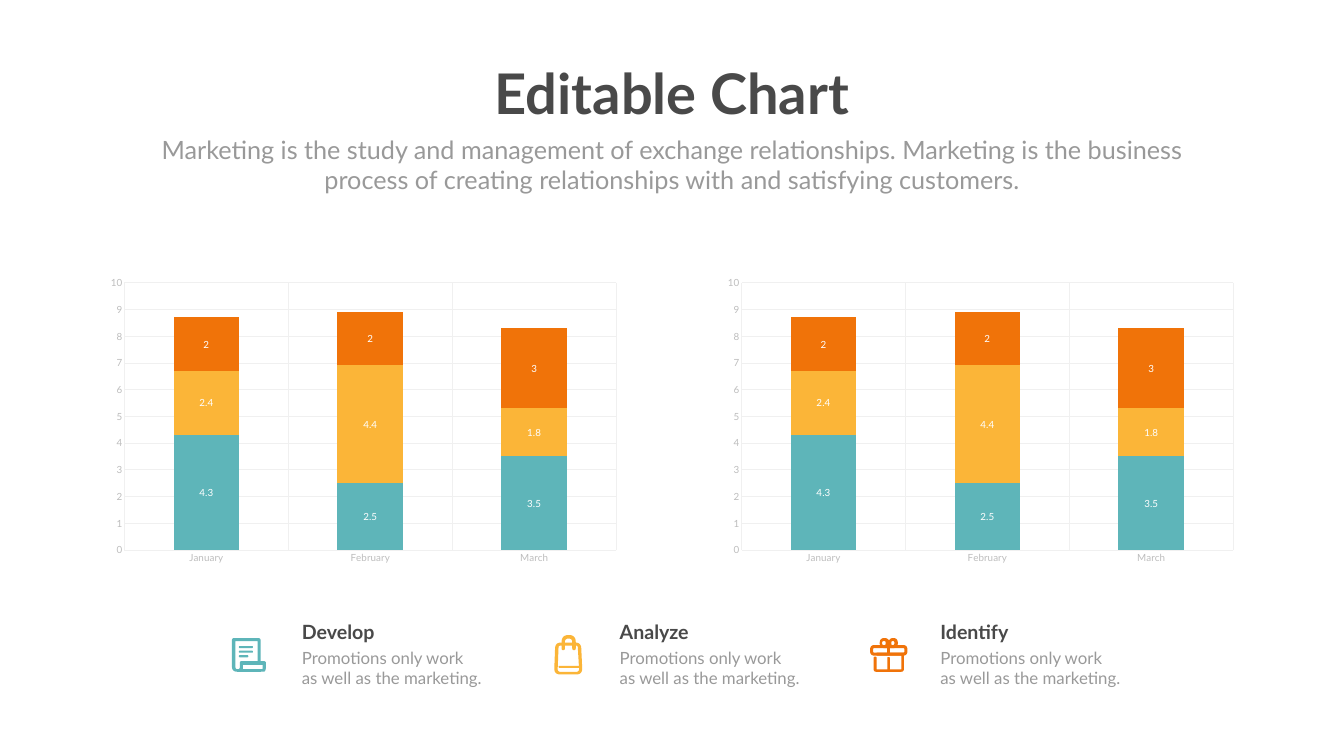
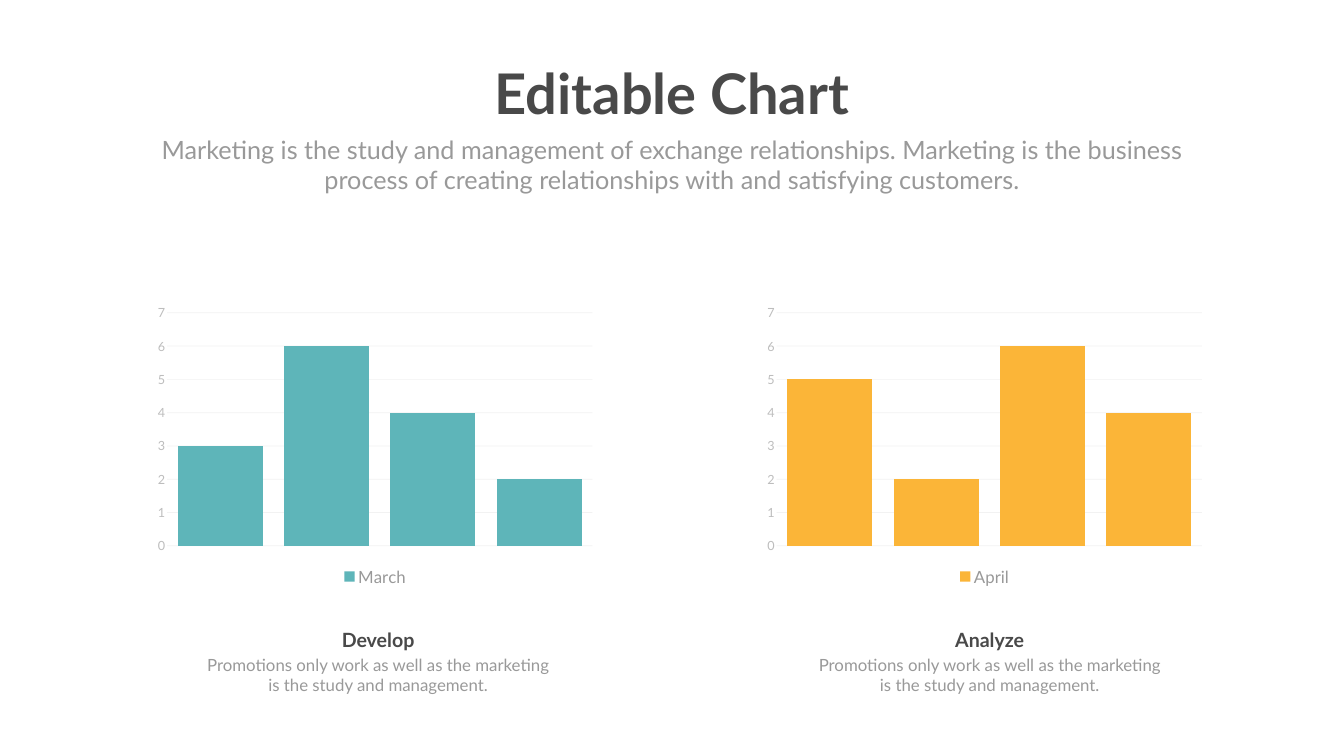
from lxml import etree
from pptx import Presentation
from pptx.chart.data import CategoryChartData
from pptx.dml.color import RGBColor
from pptx.enum.chart import (XL_CHART_TYPE, XL_LABEL_POSITION,
                             XL_LEGEND_POSITION, XL_TICK_MARK)
from pptx.enum.text import MSO_ANCHOR, MSO_AUTO_SIZE, PP_ALIGN
from pptx.oxml.ns import qn
from pptx.util import Pt

STACKED = XL_CHART_TYPE.COLUMN_STACKED
LABEL_CENTER = XL_LABEL_POSITION.CENTER
LEGEND_BOTTOM = XL_LEGEND_POSITION.BOTTOM
NO_TICK = XL_TICK_MARK.NONE
LEFT, CENTER = PP_ALIGN.LEFT, PP_ALIGN.CENTER
TOP = MSO_ANCHOR.TOP
NO_AUTOFIT = MSO_AUTO_SIZE.NONE

FONT = "Lato"
WHITE, DARK, GRAY = "FFFFFF", "494949", "999999"
AXIS_TEXT, GRID, SOFT_GRID = "BDBDBD", "F0F0F0", "808080"
TEAL, YELLOW, ORANGE = "5EB5B9", "FBB538", "F07309"

TITLE = "Editable Chart"
SUBTITLE = ("Marketing is the study and management of exchange relationships. "
            "Marketing is the business process of creating relationships "
            "with and satisfying customers.")


def color(value):
    return RGBColor.from_string(value)


def box(left, top, right, bottom, radius=0):
    """Corners of a rectangle, each as (x, y, radius)."""
    return [(left, top, radius), (right, top, radius),
            (right, bottom, radius), (left, bottom, radius)]


def round_corners(corners, steps=6):
    """Replace each (x, y, radius) corner by points along a smooth curve."""
    points = []
    for index, (x, y, radius) in enumerate(corners):
        if not radius:
            points.append((x, y))
            continue
        ends = []
        for near_x, near_y, _ in (corners[index - 1],
                                  corners[(index + 1) % len(corners)]):
            length = ((near_x - x) ** 2 + (near_y - y) ** 2) ** 0.5
            share = min(radius / length, 0.5)
            ends.append((x + (near_x - x) * share, y + (near_y - y) * share))
        (start_x, start_y), (end_x, end_y) = ends
        for step in range(steps + 1):
            t = step / steps
            a, b, c = (1 - t) ** 2, 2 * t * (1 - t), t ** 2
            points.append((a * start_x + b * x + c * end_x,
                           a * start_y + b * y + c * end_y))
    return points


# Icons: each part is a list of contours, in points from the icon's corner
SCROLL = [
    [box(7, 44.6, 41, 48.2)],
    [[(0, 0, 3.6), (41, 0, 3.6), (41, 33.1, 0), (48.5, 33.1, 2.5),
      (48.5, 48.2, 7), (41.8, 48.2, 0), (41.8, 44.6, 0), (44, 44.6, 2),
      (44, 38.2, 0), (15.8, 38.2, 0), (15.8, 48.2, 8), (0, 48.2, 8)],
     [(5, 4.5, 0), (36.7, 4.5, 0), (36.7, 33.1, 0), (11.5, 33.1, 2),
      (11.5, 44.6, 3.5), (5, 44.6, 3.5)]],
] + [[box(10, 11.5 + 6.5 * row, 10 + width, 14.5 + 6.5 * row, 1.5)]
     for row, width in enumerate((20, 20, 13.5))]

BAG = [
    [box(6.5, 43.9, 37.4, 46.9, 1.5)],
    [[(1.8, 10.8, 8), (38.5, 10.8, 8), (40.6, 56.3, 9), (0, 56.3, 9)],
     [(6.5, 15.1, 2.5), (33.8, 15.1, 2.5), (36, 52.6, 4.5), (5, 52.6, 4.5)]],
    [[(10.8, 0, 10), (31, 0, 10), (31, 21.6, 2.5), (26, 21.6, 2.5),
      (26, 5, 5.3), (15.4, 5, 5.3), (15.4, 21.6, 2.3), (10.8, 21.6, 2.3)]],
]

GIFT = [
    [[(13.7, 0, 7), (27.4, 0, 7), (27.4, 14.4, 0), (13.7, 14.4, 7)],
     box(17.3, 4.3, 22.3, 10, 2)],
    [[(26.6, 0, 7), (39.6, 0, 7), (39.6, 14.4, 7), (26.6, 14.4, 0)],
     box(30.2, 4.3, 34.6, 10, 2)],
    [box(24.5, 27.4, 28.1, 46, 1)],
    [box(24.5, 11.5, 28.1, 23)],
    [[(9.4, 20.9, 0), (48.2, 20.9, 0), (48.2, 48.2, 4), (5, 48.2, 4),
      (5, 26.6, 2), (9.4, 26.6, 2), (9.4, 44.6, 0), (44.6, 44.6, 0),
      (44.6, 25.2, 0), (9.4, 25.2, 0)]],
    [box(0, 10, 53.3, 25.2, 6.5), box(4.3, 14.4, 49, 20.9, 1.5)],
]


class Deck:
    def __init__(self):
        self.presentation = Presentation()
        self.presentation.slide_width = Pt(1919.5)
        self.presentation.slide_height = Pt(1080)
        self.slide = None

    def new_slide(self):
        """Start a slide with the shared background, title and subtitle."""
        layout = self.presentation.slide_layouts[0]
        self.slide = self.presentation.slides.add_slide(layout)
        background = self.slide.background.fill
        background.solid()
        background.fore_color.rgb = color(WHITE)
        title, subtitle = self.slide.placeholders
        self.place(title, 210, 80.6, 1499.5, 104.4)
        self.set_text(title, TITLE, 80, DARK, CENTER, True)
        self.place(subtitle, 210, 188, 1499.5, 94.3)
        self.set_text(subtitle, SUBTITLE, 36, GRAY, CENTER)

    def place(self, shape, left, top, width, height):
        shape.left, shape.top = Pt(left), Pt(top)
        shape.width, shape.height = Pt(width), Pt(height)

    def style_font(self, font, size, font_color, bold=False):
        font.name, font.size, font.bold = FONT, Pt(size), bold
        font.color.rgb = color(font_color)

    def set_text(self, shape, text, size, font_color, align=LEFT, bold=False):
        frame = shape.text_frame
        frame.text = text
        frame.word_wrap = True
        frame.auto_size = NO_AUTOFIT
        frame.vertical_anchor = TOP
        for paragraph in frame.paragraphs:
            paragraph.alignment = align
            paragraph.space_before = Pt(0)
            for run in paragraph.runs:
                self.style_font(run.font, size, font_color, bold)

    def text(self, area, text, size, font_color, align=LEFT, bold=False):
        shape = self.slide.shapes.add_textbox(*map(Pt, area))
        self.set_text(shape, text, size, font_color, align, bold)

    def caption(self, left, top, width, heading, text, align=LEFT):
        self.text((left, top, width, 41), heading, 28, DARK, align, True)
        self.text((left, top + 39, width, 65.5), text, 24, GRAY, align)

    def icon(self, left, top, parts, fill):
        for contours in parts:
            builder = None
            for corners in contours:
                points = [(Pt(left + x), Pt(top + y))
                          for x, y in round_corners(corners)]
                if builder is None:
                    builder = self.slide.shapes.build_freeform(*points[0])
                else:
                    builder.move_to(*points[0])
                builder.add_line_segments(points[1:], close=True)
            shape = builder.convert_to_shape()
            shape.shadow.inherit = False
            shape.fill.solid()
            shape.fill.fore_color.rgb = color(fill)
            shape.line.fill.background()

    def line(self, line_format, line_color, width):
        line_format.color.rgb = color(line_color)
        line_format.width = Pt(width)

    def chart(self, area, categories, series, size, gap, maximum):
        """Add a stacked column chart; series holds (name, values, fill)."""
        data = CategoryChartData()
        data.categories = categories
        for name, values, _ in series:
            data.add_series(name, values)
        frame = self.slide.shapes.add_chart(STACKED, *map(Pt, area), data)
        chart = frame.chart
        chart.has_title = False
        chart.has_legend = False
        self.style_font(chart.font, size, GRAY)
        plot = chart.plots[0]
        plot.gap_width, plot.overlap = gap, 100
        plot.vary_by_categories = False
        for bars, (_, _, fill) in zip(plot.series, series):
            bars.invert_if_negative = False
            bars.format.fill.solid()
            bars.format.fill.fore_color.rgb = color(fill)
        for axis in (chart.category_axis, chart.value_axis):
            axis.major_tick_mark = axis.minor_tick_mark = NO_TICK
            self.style_font(axis.tick_labels.font, size, AXIS_TEXT)
        axis = chart.value_axis
        axis.minimum_scale, axis.maximum_scale = 0, maximum
        axis.major_unit = 1
        return chart

    def labelled_chart(self, area, categories, series):
        chart = self.chart(area, categories, series, 14, 150, 10)
        for axis in (chart.category_axis, chart.value_axis):
            axis.has_major_gridlines = True
            self.line(axis.format.line, GRID, 0.75)
            self.line(axis.major_gridlines.format.line, GRID, 0.75)
        for bars in chart.plots[0].series:
            labels = bars.data_labels
            labels.show_value = True
            labels.position = LABEL_CENTER
            self.style_font(labels.font, 14, WHITE)

    def legend_chart(self, area, categories, series):
        chart = self.chart(area, categories, series, 18, 25, 7)
        chart.category_axis.visible = False
        chart.value_axis.format.line.fill.background()
        gridlines = chart.value_axis.major_gridlines
        self.line(gridlines.format.line, SOFT_GRID, 1)
        # Gridlines at 10 % opacity
        tint = next(chart.value_axis._element.iter(qn("c:majorGridlines")))
        tint = tint.find(".//" + qn("a:srgbClr"))
        etree.SubElement(tint, qn("a:alpha")).set("val", "10000")
        chart.has_legend = True
        chart.legend.position = LEGEND_BOTTOM
        chart.legend.include_in_layout = False
        self.style_font(chart.legend.font, 24, GRAY)


def main():
    deck = Deck()

    # Slide 1: two stacked charts above three captions with icons
    deck.new_slide()
    months = ["January", "February", "March"]
    stacks = [("Series 1", (4.3, 2.5, 3.5), TEAL),
              ("Series 2", (2.4, 4.4, 1.8), YELLOW),
              ("Series 3", (2, 2, 3), ORANGE)]
    for left in (143.3, 1024.6):
        deck.labelled_chart((left, 386.6, 751.7, 427.7), months, stacks)
    for heading, left, icon, icon_left, icon_top, fill in (
            ("Develop", 424, SCROLL, 331.2, 911.5, TEAL),
            ("Analyze", 878, BAG, 791.3, 907.2, YELLOW),
            ("Identify", 1336, GIFT, 1242.7, 911.5, ORANGE)):
        deck.icon(icon_left, icon_top, icon, fill)
        deck.caption(left, 882.5, 281, heading,
                     "Promotions only work\nas well as the marketing.")

    # Slide 2: two single-series charts, each with a centred caption
    deck.new_slide()
    for month, values, fill, chart_left, heading, left in (
            ("March", (3, 6, 4, 2), TEAL, 212.4, "Develop", 285),
            ("April", (5, 2, 6, 4), YELLOW, 1082.9, "Analyze", 1158.5)):
        deck.legend_chart((chart_left, 427.7, 646.6, 415.4),
                          ["1", "2", "3", "4"], [(month, values, fill)])
        deck.caption(left, 893, 510, heading,
                     "Promotions only work as well as the marketing "
                     "is the study and management.", CENTER)

    deck.presentation.save("out.pptx")


if __name__ == "__main__":
    main()
